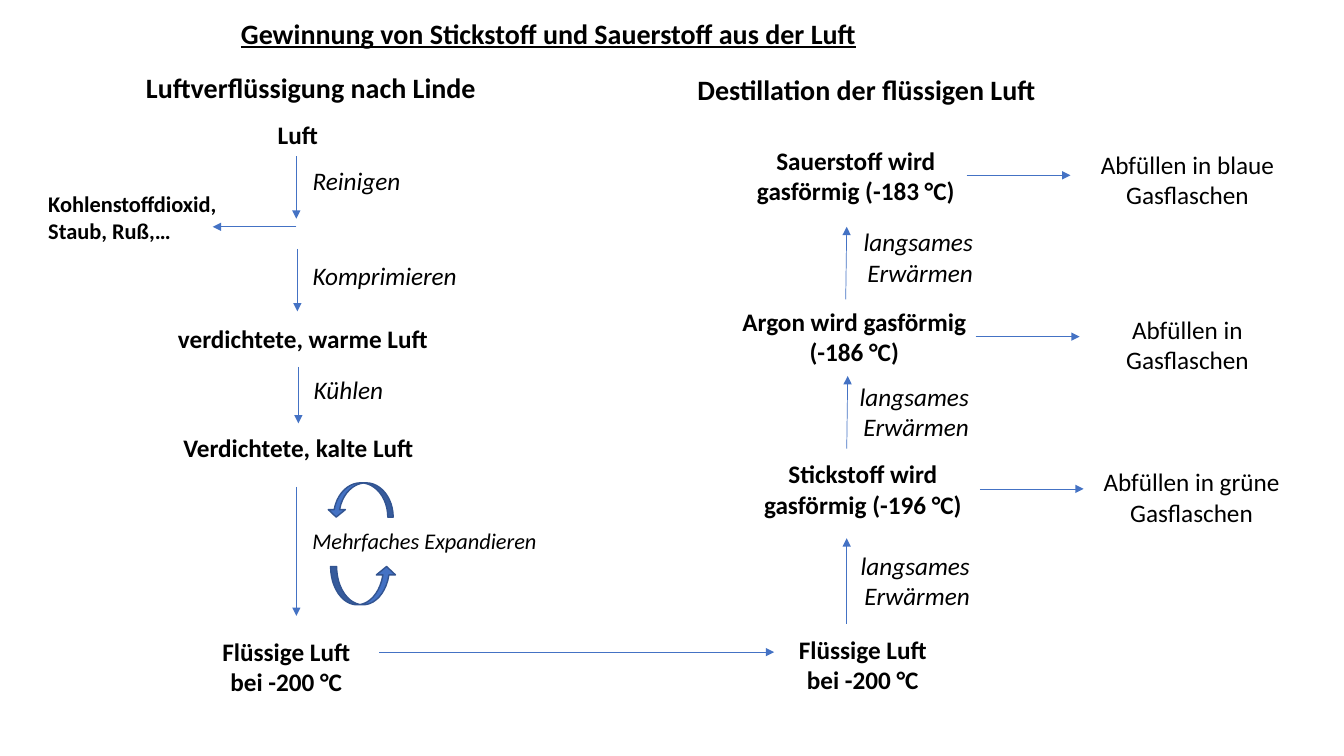
from dataclasses import dataclass

from lxml import etree
from pptx import Presentation
from pptx import util as u
from pptx.dml.color import RGBColor
from pptx.enum import shapes, text
from pptx.oxml import ns

TITLE = ("Gewinnung von Stickstoff und Sauerstoff aus der Luft", 22.9, 1.1, 68.6, 1)

HEADINGS = [
    ("Luftverflüssigung nach Linde", 13.5, 6.5, 36.7, 1),
    ("Destillation der flüssigen Luft", 68.2, 6.7, 36.7, 1),
]
STAGES = [
    ("Luft", 21.9, 11.3, 15.3, 1),
    ("verdichtete, warme Luft", 15.8, 31.6, 28.5, 1),
    ("Verdichtete, kalte Luft", 15, 42.4, 29.2, 1),
    ("Flüssige Luft\nbei -200 °C", 19, 62.6, 18.8, 2),
    ("Flüssige Luft\nbei -200 °C", 76.2, 62.4, 18.8, 2),
    ("Stickstoff wird gasförmig (-196 °C)", 73.6, 45, 24, 2),
    ("Argon wird gasförmig (-186 °C)", 72.2, 29.9, 25.1, 2),
    ("Sauerstoff wird gasförmig (-183 °C)", 72.9, 13.9, 24, 2),
]
BOTTLINGS = [
    ("Abfüllen in grüne Gasflaschen", 106.2, 45.8, 24, 2),
    ("Abfüllen in Gasflaschen", 105.8, 30.7, 24, 2),
    ("Abfüllen in blaue Gasflaschen", 105.8, 14.3, 24, 2),
]
STEPS = [
    ("Reinigen", 29.4, 15.9, 11.3, 1),
    ("Komprimieren", 29.5, 25.3, 16.8, 1),
    ("Kühlen", 21.1, 36.6, 17.9, 1),
]
WARMING = [("langsames Erwärmen", left, top, 21.3, 2)
           for left, top in [(75.9, 54.1), (75.8, 37.3), (76.2, 22)]]
EXPANSION = [("Mehrfaches Expandieren", 30, 51.8, 25.5, 1)]
IMPURITIES = [("Kohlenstoffdioxid, Staub, Ruß,…", 3.8, 18.4, 20.9, 2)]

DOWN_ARROWS = [(29.4, 15.5, 21.7), (29.5, 24.7, 30.9), (29.6, 36.4, 42), (29.4, 48.3, 61.1)]
UP_ARROWS = [(84, 84, 61.9, 53.4), (84, 84.1, 44.5, 37.3), (83.9, 84, 29.7, 22.5)]
BOTTLING_ARROWS = [(97.2, 48.5), (96.8, 33.4), (95.9, 17.4)]
BOTTLING_LENGTH = 10.3
SIDE_ARROWS = [(29.4, 22.5, 21.1, 22.5), (37.6, 64.7, 76.8, 64.7)]
CYCLE_ARROWS = [(32.8, 56.2, 3.8, 0), (32.5, 47.9, 3.4, 180)]
CYCLE_WIDTH = 6.5
CYCLE_BEND = (0.157, 0.5, 0.219)


@dataclass(frozen=True)
class Theme:
    font: str = "Calibri"
    ink: str = "000000"
    arrow: str = "4472C4"
    edge: str = "325491"
    heading: int = 20
    body: int = 18
    small: int = 16
    thin: float = 0.5
    outline: float = 1


THEME = Theme()
LEFT, CENTER, RIGHT = text.PP_ALIGN.LEFT, text.PP_ALIGN.CENTER, text.PP_ALIGN.RIGHT
COLUMNS, ROWS = 133.33, 75

deck = Presentation()
deck.slide_width, deck.slide_height = u.Inches(13.33), u.Inches(7.5)
slide = deck.slides.add_slide(deck.slide_layouts[5])


def across(columns):
    return round(deck.slide_width * columns / COLUMNS)


def down(rows):
    return round(deck.slide_height * rows / ROWS)


def box(left, top, width, lines, size):
    return across(left), down(top), across(width), u.Pt(lines * size * 1.22) + u.Inches(0.1)


def write(holder, wording, size, align, bold=False, italic=False, underline=False):
    frame = holder.text_frame
    frame.text = wording
    frame.word_wrap = True
    frame.auto_size = text.MSO_AUTO_SIZE.SHAPE_TO_FIT_TEXT
    frame.vertical_anchor = text.MSO_ANCHOR.TOP
    for paragraph in frame.paragraphs:
        paragraph.alignment = align
        paragraph.line_spacing = 1.0
        paragraph.space_before = u.Pt(0)
        for run in paragraph.runs:
            font = run.font
            font.name, font.size = THEME.font, u.Pt(size)
            font.bold, font.italic, font.underline = bold, italic, underline
            font.color.rgb = RGBColor.from_string(THEME.ink)


def labels(entries, size, align, **style):
    for wording, left, top, width, lines in entries:
        label = slide.shapes.add_textbox(*box(left, top, width, lines, size))
        write(label, wording, size, align, **style)


def arrow(x1, y1, x2, y2):
    line = slide.shapes.add_connector(
        shapes.MSO_CONNECTOR.STRAIGHT, across(x1), down(y1), across(x2), down(y2))
    line.line.color.rgb = RGBColor.from_string(THEME.arrow)
    line.line.width = u.Pt(THEME.thin)
    properties = line._element.spPr
    etree.SubElement(properties.find(ns.qn("a:ln")), ns.qn("a:tailEnd"), type="triangle")
    etree.SubElement(properties, ns.qn("a:effectLst"))


def cycle_arrow(left, top, height, rotation):
    bend = slide.shapes.add_shape(
        shapes.MSO_SHAPE.CURVED_UP_ARROW,
        across(left), down(top), across(CYCLE_WIDTH), down(height))
    for index, value in enumerate(CYCLE_BEND):
        bend.adjustments[index] = value
    bend.rotation = rotation
    bend.shadow.inherit = False
    bend.fill.solid()
    bend.fill.fore_color.rgb = RGBColor.from_string(THEME.arrow)
    bend.line.color.rgb = RGBColor.from_string(THEME.edge)
    bend.line.width = u.Pt(THEME.outline)


wording, *place = TITLE
title = slide.shapes.title
title.left, title.top, title.width, title.height = box(*place, THEME.heading)
write(title, wording, THEME.heading, LEFT, bold=True, underline=True)

labels(HEADINGS, THEME.heading, LEFT, bold=True)
labels(STAGES, THEME.body, CENTER, bold=True)
labels(BOTTLINGS, THEME.body, CENTER)
labels(STEPS + WARMING, THEME.body, RIGHT, italic=True)
labels(EXPANSION, THEME.small, LEFT, italic=True)
labels(IMPURITIES, THEME.small, LEFT, bold=True)

for x, start, end in DOWN_ARROWS:
    arrow(x, start, x, end)
for x1, x2, start, end in UP_ARROWS:
    arrow(x1, start, x2, end)
for x, y in BOTTLING_ARROWS:
    arrow(x, y, x + BOTTLING_LENGTH, y)
for ends in SIDE_ARROWS:
    arrow(*ends)
for bend in CYCLE_ARROWS:
    cycle_arrow(*bend)

deck.save("out.pptx")
